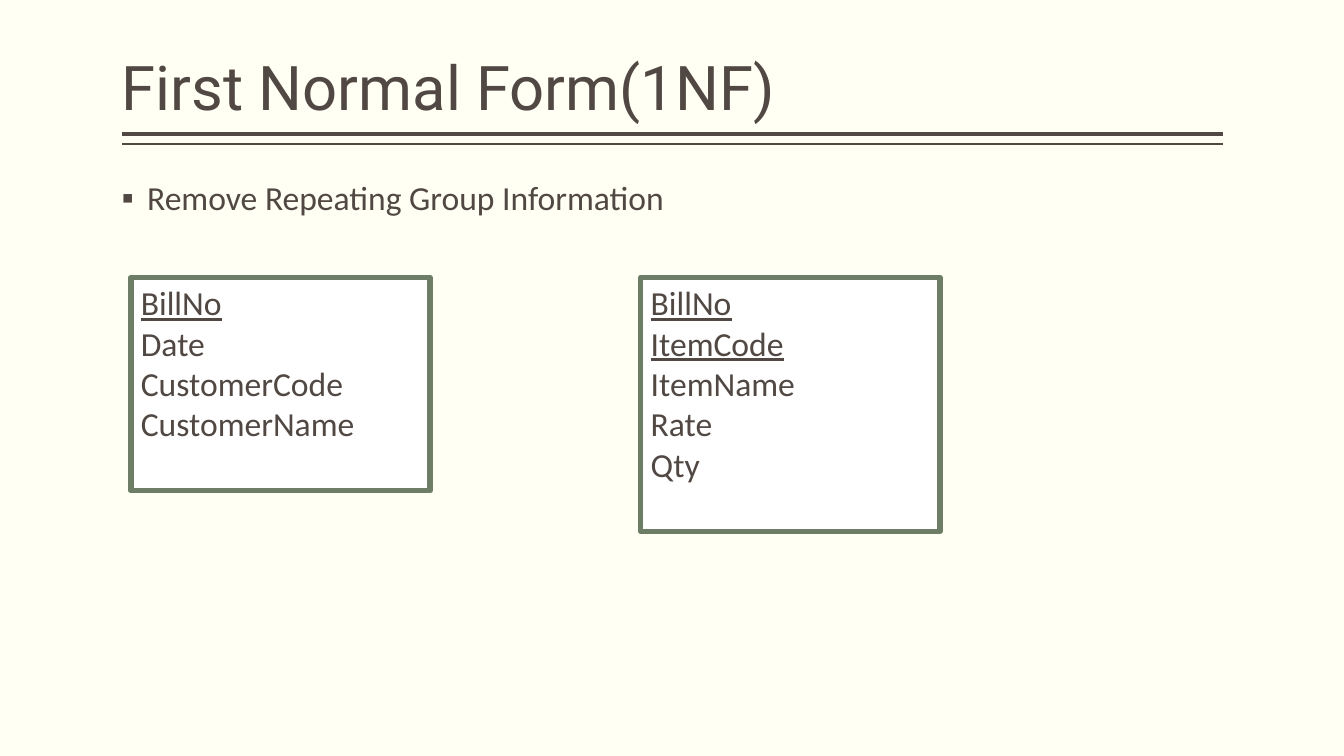
from dataclasses import dataclass

from lxml.etree import SubElement
from pptx import Presentation
from pptx.dml.color import RGBColor
from pptx.enum.shapes import MSO_CONNECTOR as Connector, MSO_SHAPE as Preset
from pptx.enum.text import MSO_ANCHOR as Anchor, MSO_AUTO_SIZE as AutoSize
from pptx.oxml.ns import qn
from pptx.slide import Slide
from pptx.text.text import TextFrame, _Paragraph as Paragraph
from pptx.util import Cm, Pt

CREAM, WHITE, BROWN, GREEN = "FFFFF3", "FFFFFF", "514843", "6D7D66"
LEFT, WIDTH = 3.07, 27.74
LINE_HEIGHT, BOX_PADDING = 1.02, 0.28


@dataclass
class Rule:
    top: float
    weight: float


@dataclass
class Relation:
    left: float
    keys: list[str]
    fields: list[str]


RULES = [Rule(3.38, 3), Rule(3.63, 1)]
RELATIONS = [
    Relation(3.3, ["BillNo"], ["Date", "CustomerCode", "CustomerName"]),
    Relation(16.15, ["BillNo", "ItemCode"], ["ItemName", "Rate", "Qty"]),
]


def colour(value: str) -> RGBColor:
    return RGBColor.from_string(value)


def add_span(para: Paragraph, text: str, size: float = 24,
             font: str = "Calibri", underline: bool = False) -> None:
    span = para.add_run()
    span.text = text
    span.font.size = Pt(size)
    span.font.name = font
    span.font.color.rgb = colour(BROWN)
    if underline:
        span.font.underline = True


def add_text_area(page: Slide, top: float, height: float, anchor: Anchor) -> TextFrame:
    frame = page.shapes.add_textbox(Cm(LEFT), Cm(top), Cm(WIDTH), Cm(height)).text_frame
    frame.word_wrap = True
    frame.auto_size = AutoSize.NONE
    frame.vertical_anchor = anchor
    frame.margin_left = frame.margin_right = 0
    frame.paragraphs[0].line_spacing = 0.9
    return frame


def add_bullet(para: Paragraph, symbol: str, indent: float) -> None:
    properties = para._p.get_or_add_pPr()
    properties.set("marL", str(Cm(indent)))
    properties.set("indent", str(-Cm(indent)))
    SubElement(properties, qn("a:buFont")).set("typeface", "Calibri")
    SubElement(properties, qn("a:buChar")).set("char", symbol)


def draw_rule(page: Slide, rule: Rule) -> None:
    line = page.shapes.add_connector(
        Connector.STRAIGHT, Cm(LEFT + WIDTH), Cm(rule.top), Cm(LEFT), Cm(rule.top))
    line.line.color.rgb = colour(BROWN)
    line.line.width = Pt(rule.weight)
    SubElement(line._element.spPr, qn("a:effectLst"))


def draw_relation(page: Slide, relation: Relation) -> None:
    names = relation.keys + relation.fields
    height = LINE_HEIGHT * (len(names) + 1) + BOX_PADDING
    box = page.shapes.add_shape(
        Preset.RECTANGLE, Cm(relation.left), Cm(6.99), Cm(7.54), Cm(height))
    box.fill.solid()
    box.fill.fore_color.rgb = colour(WHITE)
    box.line.color.rgb = colour(GREEN)
    box.line.width = Pt(3.78)
    SubElement(box.line._get_or_add_ln(), qn("a:round"))
    box.shadow.inherit = False
    frame = box.text_frame
    frame.word_wrap = True
    frame.vertical_anchor = Anchor.TOP
    for index, name in enumerate(names):
        para = frame.add_paragraph() if index else frame.paragraphs[0]
        para.alignment = 1  # left
        add_span(para, name, underline=index < len(relation.keys))


def main() -> None:
    deck = Presentation()
    deck.slide_width, deck.slide_height = Cm(33.87), Cm(19.05)
    page = deck.slides.add_slide(deck.slide_layouts[6])
    page.background.fill.solid()
    page.background.fill.fore_color.rgb = colour(CREAM)

    # Double rule under the title
    for rule in RULES:
        draw_rule(page, rule)

    # Title
    title = add_text_area(page, 0.2, 3.05, Anchor.BOTTOM)
    add_span(title.paragraphs[0], "First Normal Form(1NF)", 44, "Roboto")

    # Bullet text
    body = add_text_area(page, 4.45, 12.7, Anchor.TOP)
    add_bullet(body.paragraphs[0], "▪", 0.64)
    add_span(body.paragraphs[0], "Remove Repeating Group Information")

    # Relations, with their keys underlined
    for relation in RELATIONS:
        draw_relation(page, relation)

    deck.save("out.pptx")


if __name__ == "__main__":
    main()
